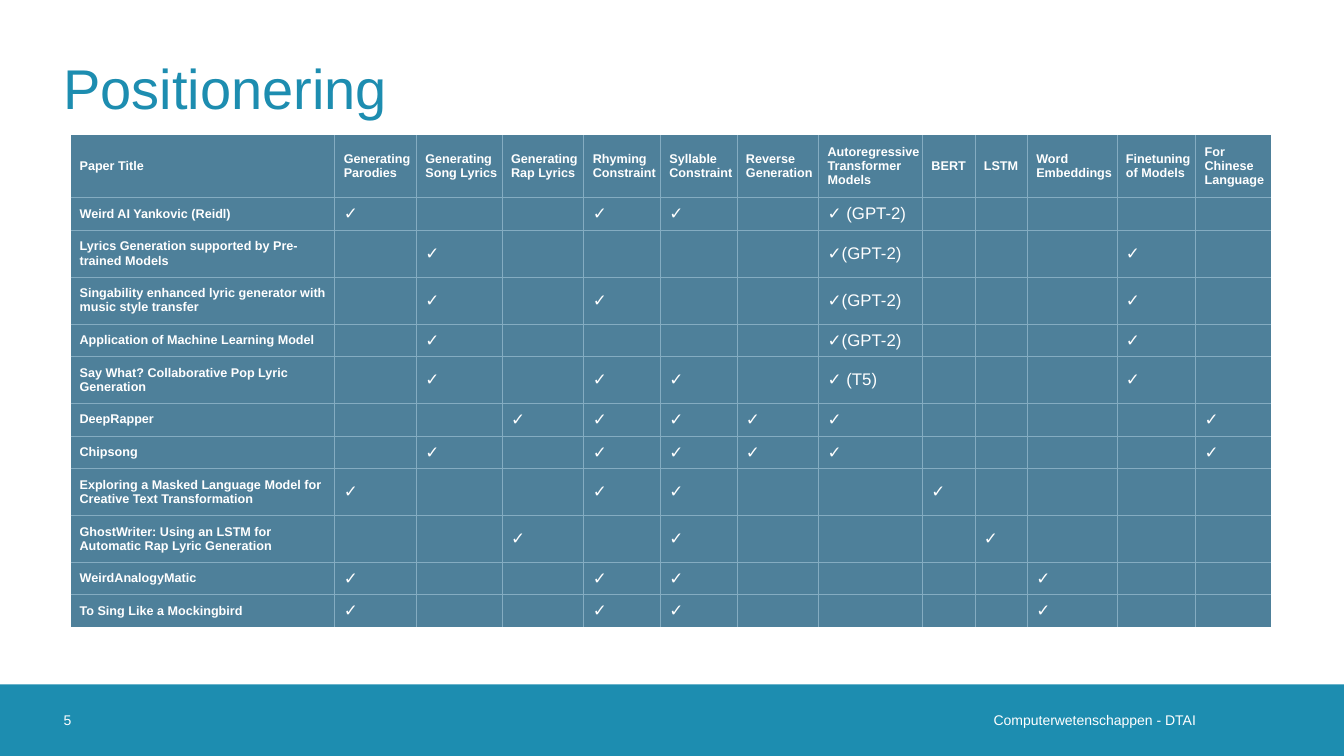
import dataclasses

import lxml.etree
import pptx
import pptx.dml.color
import pptx.enum.shapes
import pptx.enum.text
import pptx.oxml.ns
import pptx.util

Inches = pptx.util.Inches
Align = pptx.enum.text.PP_ALIGN
Anchor = pptx.enum.text.MSO_ANCHOR
PLAIN = "{2D5ABB26-0587-4C30-8999-92F81FD0307C}"
TICK = "✓"
WIDTHS = [2.62, 0.81, 0.85, 0.81, 0.76, 0.76, 0.81, 1.03, 0.52, 0.52, 0.89, 0.78, 0.75]
HEADS = [
    "Paper Title", "Generating Parodies", "Generating Song Lyrics", "Generating Rap Lyrics",
    "Rhyming Constraint", "Syllable Constraint", "Reverse Generation",
    "Autoregressive Transformer Models", "BERT", "LSTM", "Word Embeddings",
    "Finetuning of Models", "For Chinese Language",
]
HEAD, SHORT, TALL = 0.62, 0.32, 0.465
PAPERS = [
    ("Weird AI Yankovic (Reidl)", SHORT, [1, 4, 5, 7], " (GPT-2)"),
    ("Lyrics Generation supported by Pre-trained Models", TALL, [2, 7, 11], "(GPT-2)"),
    ("Singability enhanced lyric generator with music style transfer", TALL, [2, 4, 7, 11], "(GPT-2)"),
    ("Application of Machine Learning Model", SHORT, [2, 7, 11], "(GPT-2)"),
    ("Say What? Collaborative Pop Lyric Generation", TALL, [2, 4, 5, 7, 11], " (T5)"),
    ("DeepRapper", SHORT, [3, 4, 5, 6, 7, 12], ""),
    ("Chipsong", SHORT, [2, 4, 5, 6, 7, 12], ""),
    ("Exploring a Masked Language Model for Creative Text Transformation", TALL, [1, 4, 5, 8], ""),
    ("GhostWriter: Using an LSTM for Automatic Rap Lyric Generation", TALL, [3, 5, 9], ""),
    ("WeirdAnalogyMatic", SHORT, [1, 4, 5, 10], ""),
    ("To Sing Like a Mockingbird", SHORT, [1, 4, 5, 10], ""),
]
MODEL = 7


@dataclasses.dataclass(frozen=True)
class Theme:
    font: str = "Arial"
    brand: str = "1D8DB0"
    cell: str = "4E809A"
    rule: str = "84ACC1"
    white: str = "FFFFFF"
    title: int = 40
    foot: int = 10
    label: int = 9
    mark: int = 12
    line: float = 0.5


class Page:
    """Holds a slide and its theme, and adds each kind of element."""

    def __init__(self, slide, theme):
        self.slide = slide
        self.theme = theme

    def add_text(self, para, text, size, color, bold=False):
        run = para.add_run()
        run.text = text
        run.font.name = self.theme.font
        run.font.size = pptx.util.Pt(size)
        run.font.bold = bold
        run.font.color.rgb = pptx.dml.color.RGBColor.from_string(color)

    def paint(self, fill, color):
        fill.solid()
        fill.fore_color.rgb = pptx.dml.color.RGBColor.from_string(color)

    def frame(self, shape, text, size, color, align, right=0):
        frame = shape.text_frame
        frame.word_wrap = True
        frame.auto_size = pptx.enum.text.MSO_AUTO_SIZE.NONE
        frame.vertical_anchor = Anchor.MIDDLE
        frame.margin_left = frame.margin_top = frame.margin_bottom = 0
        frame.margin_right = Inches(right)
        para = frame.paragraphs[0]
        para.alignment = align
        self.add_text(para, text, size, color)

    def title(self, text, left, top, width, height):
        shape = self.slide.shapes.title
        shape.left, shape.top = Inches(left), Inches(top)
        shape.width, shape.height = Inches(width), Inches(height)
        self.frame(shape, text, self.theme.title, self.theme.brand, Align.LEFT)

    def band(self, left, top, width, height):
        shape = self.slide.shapes.add_shape(
            pptx.enum.shapes.MSO_SHAPE.RECTANGLE,
            Inches(left), Inches(top), Inches(width), Inches(height))
        shape.shadow.inherit = False
        self.paint(shape.fill, self.theme.brand)
        shape.line.fill.background()

    def note(self, text, left, top, width, height, align, right=0):
        box = self.slide.shapes.add_textbox(
            Inches(left), Inches(top), Inches(width), Inches(height))
        self.frame(box, text, self.theme.foot, self.theme.white, align, right)

    def edge(self, cell, side):
        qn = pptx.oxml.ns.qn
        props = cell._tc.get_or_add_tcPr()
        line = lxml.etree.SubElement(
            props, qn("a:ln" + side), w=str(int(pptx.util.Pt(self.theme.line))))
        fill = lxml.etree.SubElement(line, qn("a:solidFill"))
        lxml.etree.SubElement(fill, qn("a:srgbClr"), val=self.theme.rule)

    def fill_cell(self, cell, text, size, bold):
        cell.margin_left, cell.margin_right = Inches(0.09), Inches(0.01)
        cell.margin_top = cell.margin_bottom = Inches(0.06)
        cell.vertical_anchor = Anchor.MIDDLE
        self.paint(cell.fill, self.theme.cell)
        para = cell.text_frame.paragraphs[0]
        if text:
            self.add_text(para, text, size, self.theme.white, bold)
        else:
            lxml.etree.SubElement(
                para._p, pptx.oxml.ns.qn("a:endParaRPr"), sz=str(size * 100))

    def grid(self, rows, widths, heights, left, top):
        table = self.slide.shapes.add_table(
            len(rows), len(widths), Inches(left), Inches(top),
            Inches(sum(widths)), Inches(sum(heights))).table
        table.first_row = table.horz_banding = False
        table._tbl.tblPr.find(pptx.oxml.ns.qn("a:tableStyleId")).text = PLAIN
        for col, width in zip(table.columns, widths):
            col.width = Inches(width)
        for row, height in zip(table.rows, heights):
            row.height = Inches(height)
        for y, texts in enumerate(rows):
            for x, text in enumerate(texts):
                cell = table.cell(y, x)
                inner = {"L": x > 0, "R": x < len(widths) - 1,
                         "T": y > 0, "B": y < len(rows) - 1}
                for side, drawn in inner.items():
                    if drawn:
                        self.edge(cell, side)
                label = x == 0 or y == 0
                size = self.theme.label if label else self.theme.mark
                self.fill_cell(cell, text, size, label)


def marks(name, ticks, model):
    row = [name] + [""] * (len(WIDTHS) - 1)
    for x in ticks:
        row[x] = TICK + (model if x == MODEL else "")
    return row


def main():
    deck = pptx.Presentation()
    deck.slide_width, deck.slide_height = Inches(13.33), Inches(7.5)
    page = Page(deck.slides.add_slide(deck.slide_layouts[5]), Theme())
    page.band(0, 6.79, 13.33, 0.71)
    page.note("Computerwetenschappen - DTAI", 6.6, 6.79, 5.46, 0.71, Align.RIGHT, 0.2)
    page.note("5", 0.63, 6.79, 0.71, 0.71, Align.LEFT)
    page.title("Positionering", 0.63, 0.23, 12.07, 1.26)
    rows = [HEADS] + [marks(name, ticks, model) for name, _, ticks, model in PAPERS]
    heights = [HEAD] + [height for _, height, _, _ in PAPERS]
    page.grid(rows, WIDTHS, heights, 0.7, 1.34)
    deck.save("out.pptx")


if __name__ == "__main__":
    main()
